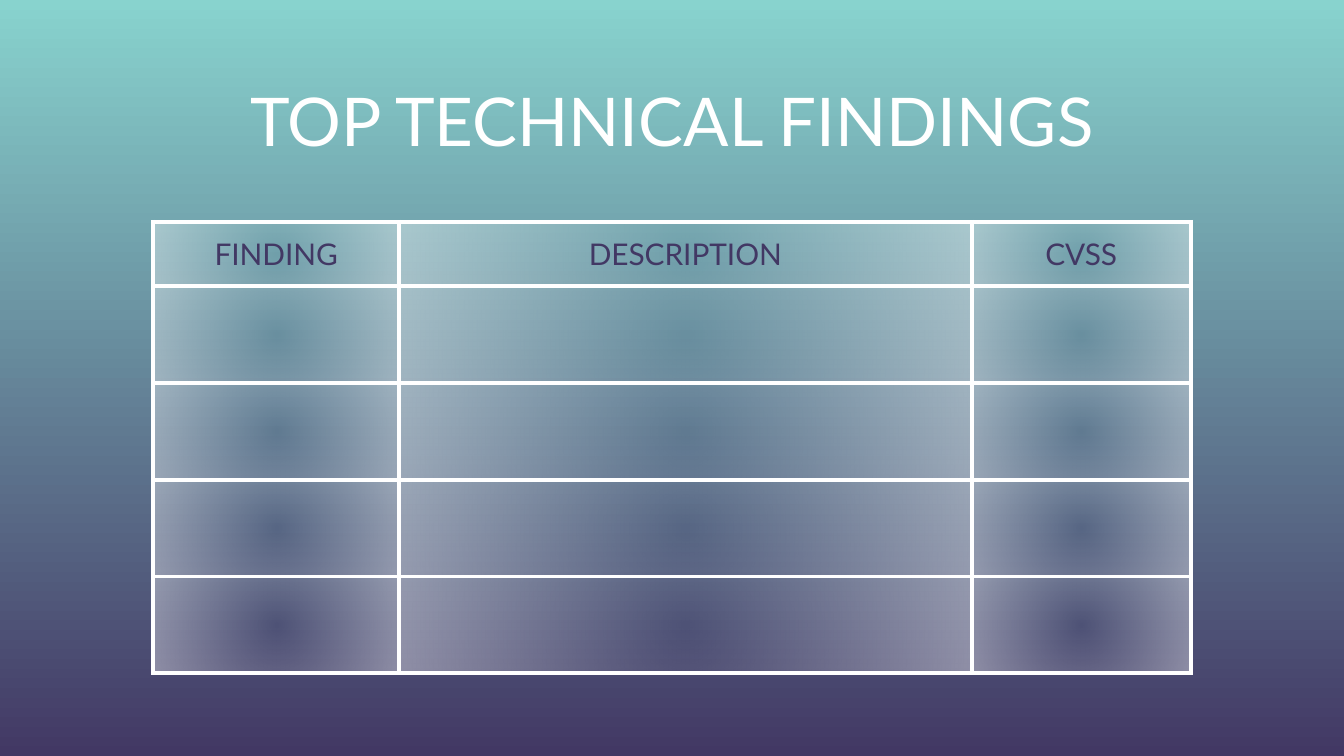
from lxml.etree import SubElement
from pptx import Presentation
from pptx.dml.color import RGBColor
from pptx.enum.text import MSO_ANCHOR, PP_ALIGN
from pptx.oxml.ns import qn
from pptx.util import Inches, Pt

COLORS = {"mint": "88D3CE", "violet": "423864", "white": "FFFFFF"}
SLIDE_SIZE = {"slide_width": Inches(10), "slide_height": Inches(10 * 9 / 16)}
HEADINGS = ["FINDING", "DESCRIPTION", "CVSS"]
COLUMN_WIDTHS = [1.83, 4.26, 1.63]
ROW_HEIGHTS = [0.48] + [0.72] * 4
MARGINS = {f"margin_{side}": Inches(0.1) for side in ("left", "right", "top", "bottom")}
TITLE_FORMAT = {**MARGINS, "word_wrap": True, "vertical_anchor": MSO_ANCHOR.TOP}
CELL_FORMAT = {**MARGINS, "vertical_anchor": MSO_ANCHOR.MIDDLE}


def apply_format(target, values):
    """Set every attribute in values on target."""
    for attribute, value in values.items():
        setattr(target, attribute, value)


def write_text(frame, wording, size, color):
    """Write one centred line in Lato."""
    line = frame.paragraphs[0]
    line.alignment = PP_ALIGN.CENTER
    run = line.add_run()
    run.text = wording
    apply_format(run.font, {"name": "Lato", "size": Pt(size)})
    run.font.color.rgb = RGBColor.from_string(COLORS[color])


def paint_background(slide):
    """Fade the slide from mint at the top to violet at the bottom."""
    fill = slide.background.fill
    fill.gradient()
    fill.gradient_angle = 270
    for stop, color in zip(fill.gradient_stops, ("mint", "violet")):
        stop.color.rgb = RGBColor.from_string(COLORS[color])


def add_title(slide, wording):
    """Add the centred slide title."""
    title = slide.shapes.add_textbox(Inches(0.5), Inches(0.49), Inches(9), Inches(0.73))
    apply_format(title.text_frame, TITLE_FORMAT)
    write_text(title.text_frame, wording, 36, "white")


def add_borders(properties):
    """Draw white lines on all four sides of a cell."""
    for side in ("lnL", "lnR", "lnT", "lnB"):
        border = SubElement(properties, qn(f"a:{side}"), w=str(Pt(2.25)))
        solid = SubElement(border, qn("a:solidFill"))
        SubElement(solid, qn("a:srgbClr"), val=COLORS["white"])


def add_glow(properties):
    """Fill a cell with white that fades to clear at its centre."""
    gradient = SubElement(properties, qn("a:gradFill"))
    stops = SubElement(gradient, qn("a:gsLst"))
    for position, opacity in ((0, 0), (100, 39)):
        stop = SubElement(stops, qn("a:gs"), pos=str(position * 1000))
        white = SubElement(stop, qn("a:srgbClr"), val=COLORS["white"])
        SubElement(white, qn("a:alpha"), val=str(opacity * 1000))
    circle = SubElement(gradient, qn("a:path"), path="circle")
    SubElement(circle, qn("a:fillToRect"), l="50000", t="50000", r="50000", b="50000")


def add_findings_table(slide):
    """Add the findings grid with its headings and empty rows."""
    findings = slide.shapes.add_table(
        len(ROW_HEIGHTS), len(COLUMN_WIDTHS), Inches(1.14), Inches(1.65),
        Inches(sum(COLUMN_WIDTHS)), Inches(sum(ROW_HEIGHTS))).table
    apply_format(findings, {"first_row": False, "horz_banding": False})
    for column, width in zip(findings.columns, COLUMN_WIDTHS):
        column.width = Inches(width)
    for row, height in zip(findings.rows, ROW_HEIGHTS):
        row.height = Inches(height)
    for cell in findings.iter_cells():
        apply_format(cell, CELL_FORMAT)
        properties = cell._tc.get_or_add_tcPr()
        add_borders(properties)
        add_glow(properties)
    for cell, heading in zip(findings.rows[0].cells, HEADINGS):
        write_text(cell.text_frame, heading, 16, "violet")


def main():
    """Build and save the findings slide."""
    deck = Presentation()
    apply_format(deck, SLIDE_SIZE)
    slide = deck.slides.add_slide(deck.slide_layouts[6])
    paint_background(slide)
    add_title(slide, "TOP TECHNICAL FINDINGS")
    add_findings_table(slide)
    deck.save("out.pptx")


if __name__ == "__main__":
    main()
